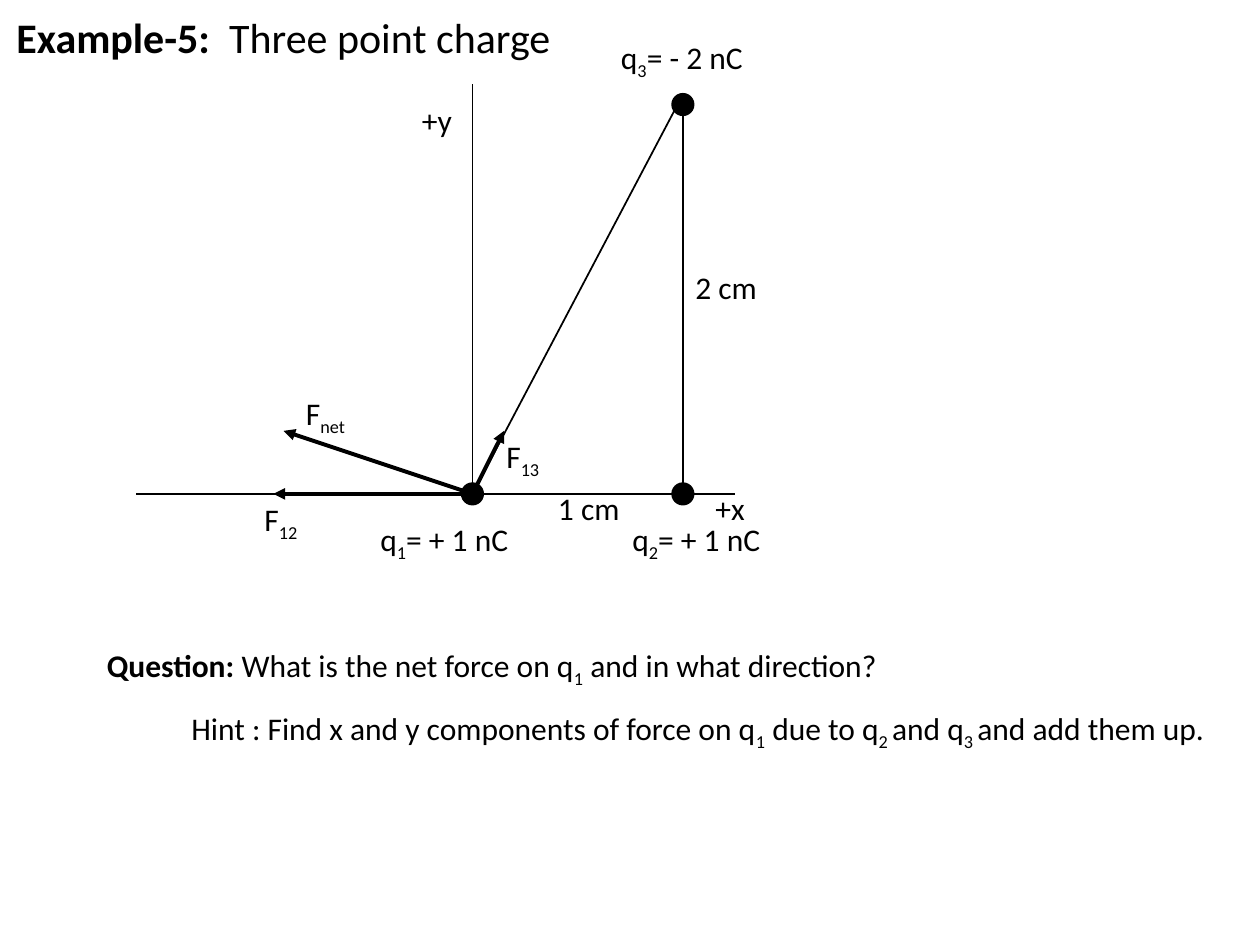
from dataclasses import dataclass

from lxml import etree
from pptx import Presentation
from pptx import util as u
from pptx.dml.color import RGBColor
from pptx.enum import shapes, text
from pptx.oxml.ns import qn

FONT = "Calibri"
BLACK = "000000"
DOT_SIZE = 0.17

# Positions of the three charges, in inches
Q1 = (3.75, 3.92)
Q2 = (5.42, 3.92)
Q3 = (5.42, 0.83)


@dataclass
class Label:
    """Text in which every second part between bars is a subscript."""
    content: str
    left: float
    top: float
    width: float
    height: float = 0.4
    bold_start: str = ""
    wrap: bool = True


@dataclass
class Line:
    start: tuple[float, float]
    end: tuple[float, float]
    weight: float = 1
    arrow: bool = False


QUESTIONS = [
    Label(" What is the net force on q|1| and in what direction?", 0.75, 5.08, 7.25,
          bold_start="Question:"),
    Label("Hint : Find x and y components of force on q|1| due to q|2 |and q|3 |and add them up.",
          1.42, 5.58, 8.25, 0.7),
]
LABELS = [
    Label("F|12|", 2, 3.92, 0.83),
    Label("F|13|", 3.92, 3.42, 0.54),
    Label("F|net|", 2.33, 3.08, 0.83),
    Label("q|1|= + 1 nC", 2.92, 4.08, 1.45),
    Label("q|2|= + 1 nC", 4.92, 4.08, 1.39),
    Label("q|3|= - 2 nC", 4.83, 0.25, 1.33, wrap=False),
    Label("+y", 3.25, 0.75, 0.58),
    Label("+x", 5.58, 3.83, 0.5),
    Label("2 cm", 5.42, 2.08, 0.81, wrap=False),
    Label("1 cm", 4.33, 3.83, 0.75),
]
FORCES = [Line(Q1, end, 2.25, True) for end in ((4, 3.42), (2.17, 3.92), (2.25, 3.42))]
AXES_AND_DISTANCES = [
    Line((1.08, 3.92), (5.83, 3.92)),
    Line((5.42, 0.75), Q2),
    Line((5.42, 0.75), Q1),
    Line(Q1, (3.75, 0.67)),
]


def color(value: str) -> RGBColor:
    return RGBColor.from_string(value)


def write_paragraph(paragraph, content: str, size: float, bold_start: str = "") -> None:
    if bold_start:
        run = paragraph.add_run()
        run.text = bold_start
        run.font.bold = True
    for index, part in enumerate(content.split("|")):
        if not part:
            continue
        run = paragraph.add_run()
        run.text = part
        run.font.bold = False
        if index % 2:
            run.font._element.set("baseline", "-25000")
    paragraph.font.name = FONT
    paragraph.font.size = u.Pt(size)
    paragraph.font.color.rgb = color(BLACK)


def draw_label(slide, label: Label) -> None:
    box = slide.shapes.add_textbox(u.Inches(label.left), u.Inches(label.top),
                                   u.Inches(label.width), u.Inches(label.height))
    box.text_frame.word_wrap = label.wrap
    write_paragraph(box.text_frame.paragraphs[0], label.content, 18, label.bold_start)


def draw_line(slide, line: Line) -> None:
    connector = slide.shapes.add_connector(
        shapes.MSO_CONNECTOR.STRAIGHT, *(u.Inches(value) for value in line.start + line.end))
    connector.line.color.rgb = color(BLACK)
    connector.line.width = u.Pt(line.weight)
    if line.arrow:
        etree.SubElement(connector.line._get_or_add_ln(), qn("a:tailEnd"), type="triangle")
    etree.SubElement(connector._element.spPr, qn("a:effectLst"))


def draw_charge(slide, center: tuple[float, float]) -> None:
    left, top = (u.Inches(value - DOT_SIZE / 2) for value in center)
    dot = slide.shapes.add_shape(shapes.MSO_SHAPE.OVAL, left, top,
                                 u.Inches(DOT_SIZE), u.Inches(DOT_SIZE))
    dot.shadow.inherit = False
    dot.fill.solid()
    dot.fill.fore_color.rgb = color(BLACK)
    dot.line.color.rgb = color(BLACK)
    dot.line.width = u.Pt(1)


def draw_title(slide) -> None:
    title = slide.shapes.title
    title.left, title.top = u.Inches(0), u.Inches(0)
    title.width, title.height = u.Inches(4.5), u.Inches(0.58)
    frame = title.text_frame
    frame.auto_size = text.MSO_AUTO_SIZE.NONE
    frame.vertical_anchor = text.MSO_ANCHOR.MIDDLE
    paragraph = frame.paragraphs[0]
    paragraph.alignment = text.PP_ALIGN.CENTER
    write_paragraph(paragraph, "  Three point charge", 24, "Example-5:")


def main() -> None:
    presentation = Presentation()
    presentation.slide_width, presentation.slide_height = u.Inches(10), u.Inches(7.5)
    slide = presentation.slides.add_slide(presentation.slide_layouts[5])
    draw_title(slide)

    # Question and hint
    for label in QUESTIONS:
        draw_label(slide, label)

    # Diagram: forces, axes, charges and their labels
    for line in FORCES + AXES_AND_DISTANCES:
        draw_line(slide, line)
    for center in (Q3, Q1, Q2):
        draw_charge(slide, center)
    for label in LABELS:
        draw_label(slide, label)

    presentation.save("out.pptx")


if __name__ == "__main__":
    main()
